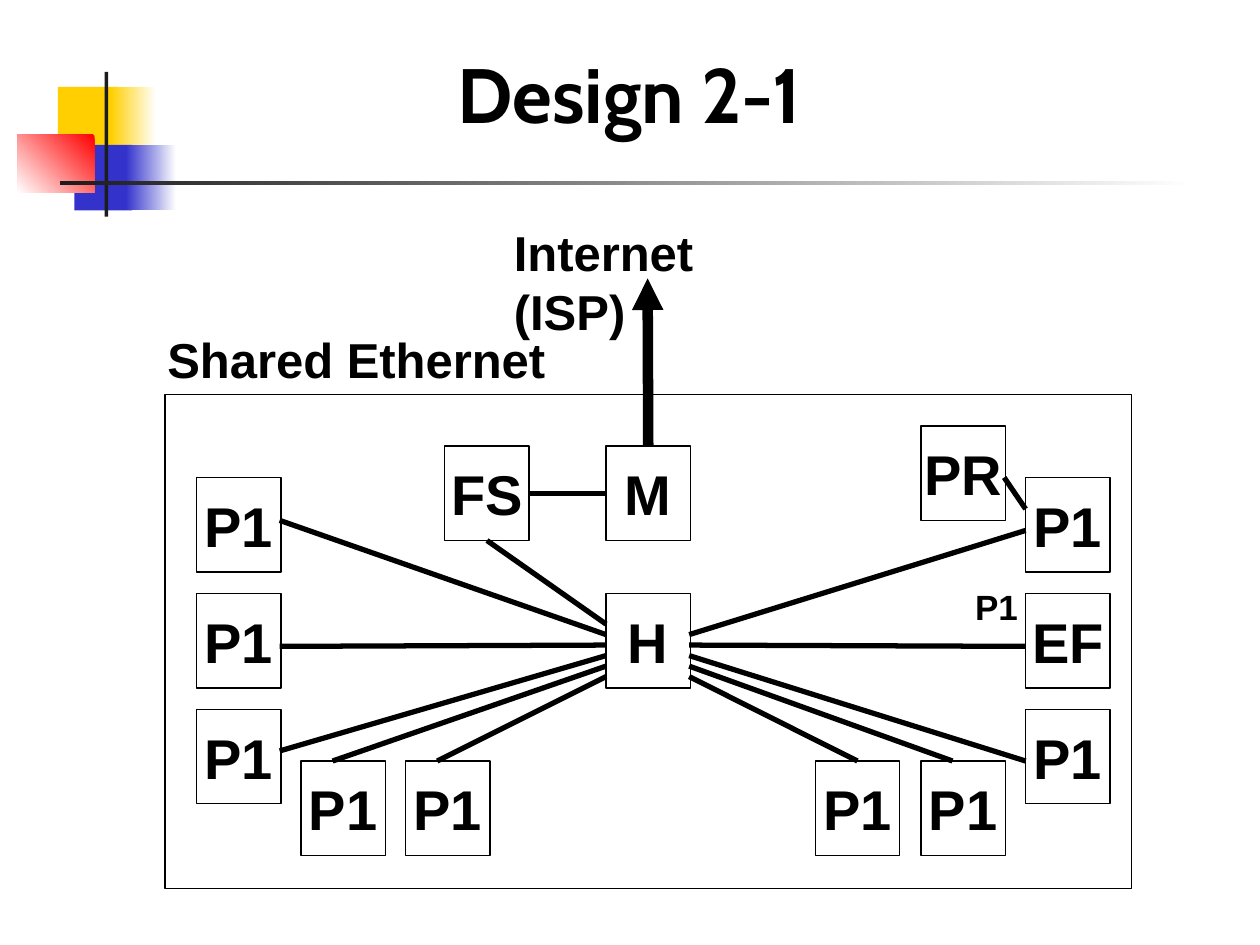
"""Build the "Design 2-1" shared Ethernet diagram slide."""
from lxml import etree
from pptx import Presentation
from pptx import util as u
from pptx.dml.color import RGBColor
from pptx.enum import shapes, text
from pptx.oxml.ns import qn

BLACK = RGBColor(0x00, 0x00, 0x00)
WHITE = RGBColor(0xFF, 0xFF, 0xFF)
YELLOW = RGBColor(0xFF, 0xCF, 0x01)
BLUE = RGBColor(0x33, 0x33, 0xCC)
RED = RGBColor(0xFF, 0x00, 0x00)
DARK = RGBColor(0x1C, 0x1C, 0x1C)

TITLE = "Design 2-1"
# left, top, width, height, gradient start (or None), colour, angle
ORNAMENTS = [
    (0.46, 0.69, 0.48, 0.52, None, YELLOW, 0),
    (0.88, 0.69, 0.36, 0.52, WHITE, YELLOW, 180),
    (0.59, 1.15, 0.46, 0.52, None, BLUE, 0),
    (1.00, 1.15, 0.40, 0.52, WHITE, BLUE, 180),
    (0.14, 1.07, 0.61, 0.46, RED, WHITE, 225),
    (0.83, 0.57, 0.03, 1.15, None, DARK, 0),
    (0.48, 1.44, 9.00, 0.03, WHITE, DARK, 180),
]
FRAME = (1.31, 3.13, 7.67, 3.92)
BOX_WIDTH, BOX_HEIGHT = 0.67, 0.75
COLUMNS = {"a": 1.56, "b": 2.39, "c": 3.22, "server": 3.53, "hub": 4.81,
           "d": 6.47, "e": 7.31, "f": 8.14}
ROWS = {"printer": 3.38, "modem": 3.54, "upper": 3.79, "middle": 4.71,
        "lower": 5.63, "bottom": 6.04}
NODES = [
    ("H", "hub", "middle"), ("M", "hub", "modem"), ("FS", "server", "modem"),
    ("PR", "e", "printer"), ("EF", "f", "middle"),
    ("P1", "a", "upper"), ("P1", "a", "middle"), ("P1", "a", "lower"),
    ("P1", "b", "bottom"), ("P1", "c", "bottom"), ("P1", "d", "bottom"),
    ("P1", "e", "bottom"), ("P1", "f", "lower"), ("P1", "f", "upper"),
]
# Cable ends, listed from the highest hub port to the lowest
LEFT_CABLES = [(3.87, 4.29), (2.22, 4.13), (2.22, 5.13), (2.22, 5.96), (2.64, 6.04), (3.47, 6.04)]
RIGHT_CABLES = [(8.14, 4.21), (8.14, 5.13), (8.14, 6.04), (7.56, 6.04), (6.81, 6.04)]
LEFT_PORT, RIGHT_PORT, PORT_GAP, LAST_PORT = 4.81, 5.47, 1 / 12, 5.37
LABELS = [
    ("Internet (ISP)", 28, (3.98, 1.72, 2.61, 0.57)),
    ("Shared Ethernet", 28, (1.23, 2.57, 3.20, 0.57)),
    ("P1", 20, (7.64, 4.60, 0.54, 0.44)),
]


def inches(values):
    return [u.Inches(value) for value in values]


def write(shape, words, size, font="Arial", alignment=text.PP_ALIGN.LEFT):
    shape.text_frame.text = words
    paragraph = shape.text_frame.paragraphs[0]
    paragraph.alignment = alignment
    paragraph.font.name = font
    paragraph.font.size = u.Pt(size)
    paragraph.font.bold = True
    paragraph.font.color.rgb = BLACK


def add_rectangle(slide, bounds):
    shape = slide.shapes.add_shape(shapes.MSO_SHAPE.RECTANGLE, *inches(bounds))
    shape.shadow.inherit = False
    return shape


def add_ornament(slide, bounds, start, color, angle):
    shape = add_rectangle(slide, bounds)
    shape.line.fill.background()
    if start is None:
        shape.fill.solid()
        shape.fill.fore_color.rgb = color
        return
    shape.fill.gradient()
    shape.fill.gradient_angle = angle
    for stop, position, shade in zip(shape.fill.gradient_stops, (0, 1), (start, color)):
        stop.position = position
        stop.color.rgb = shade


def add_outline(slide, bounds):
    shape = add_rectangle(slide, bounds)
    shape.fill.background()
    shape.line.color.rgb = BLACK
    shape.line.width = u.Pt(0.75)
    return shape


def add_node(slide, name, column, row):
    shape = add_outline(slide, (COLUMNS[column], ROWS[row], BOX_WIDTH, BOX_HEIGHT))
    shape.text_frame.word_wrap = False
    shape.text_frame.vertical_anchor = text.MSO_ANCHOR.MIDDLE
    write(shape, name, 32, alignment=text.PP_ALIGN.CENTER)
    return shape


def add_cable(slide, start, end, width=3):
    cable = slide.shapes.add_connector(
        shapes.MSO_CONNECTOR.STRAIGHT, *inches(start + end))
    cable.line.color.rgb = BLACK
    cable.line.width = u.Pt(width)
    etree.SubElement(cable._element.spPr, qn("a:effectLst"))
    return cable


def add_label(slide, words, size, bounds):
    label = slide.shapes.add_textbox(*inches(bounds))
    label.text_frame.word_wrap = False
    label.text_frame.auto_size = text.MSO_AUTO_SIZE.SHAPE_TO_FIT_TEXT
    write(label, words, size)


def add_title(slide):
    title = slide.shapes.title
    title.left, title.top, title.width, title.height = inches((0.42, 0.37, 9.15, 0.73))
    frame = title.text_frame
    frame.margin_left = frame.margin_right = frame.margin_top = frame.margin_bottom = 0
    frame.vertical_anchor = text.MSO_ANCHOR.BOTTOM
    frame.auto_size = text.MSO_AUTO_SIZE.NONE
    write(title, TITLE, 44, "Cabin", text.PP_ALIGN.CENTER)


def add_hub_cables(slide, ends, port_x):
    first_port = LAST_PORT - PORT_GAP * (len(ends) - 1)
    return [add_cable(slide, end, (port_x, first_port + index * PORT_GAP))
            for index, end in enumerate(ends)]


def add_network(slide):
    add_outline(slide, FRAME)
    nodes = {node: add_node(slide, *node) for node in NODES}
    modem = nodes["M", "hub", "modem"]
    server = nodes["FS", "server", "modem"]

    left = add_hub_cables(slide, LEFT_CABLES, LEFT_PORT)
    left[0].begin_connect(server, 2)
    right = add_hub_cables(slide, RIGHT_CABLES, RIGHT_PORT)
    right[-1].begin_connect(nodes["P1", "d", "bottom"], 0)

    add_cable(slide, (8.14, 4.04), (7.97, 3.79))
    server_cable = add_cable(slide, (4.20, 3.92), (4.81, 3.92))
    server_cable.begin_connect(server, 3)
    server_cable.end_connect(modem, 1)

    uplink = add_cable(slide, (5.14, 3.54), (5.14, 2.21), 6)
    uplink.begin_connect(modem, 0)
    etree.SubElement(uplink.line._get_or_add_ln(), qn("a:tailEnd"), type="triangle")


def main():
    presentation = Presentation()
    presentation.slide_width, presentation.slide_height = inches((10, 7.5))
    slide = presentation.slides.add_slide(presentation.slide_layouts[5])
    for *bounds, start, color, angle in ORNAMENTS:
        add_ornament(slide, bounds, start, color, angle)
    add_title(slide)
    add_network(slide)
    for label in LABELS:
        add_label(slide, *label)
    presentation.save("out.pptx")


if __name__ == "__main__":
    main()
